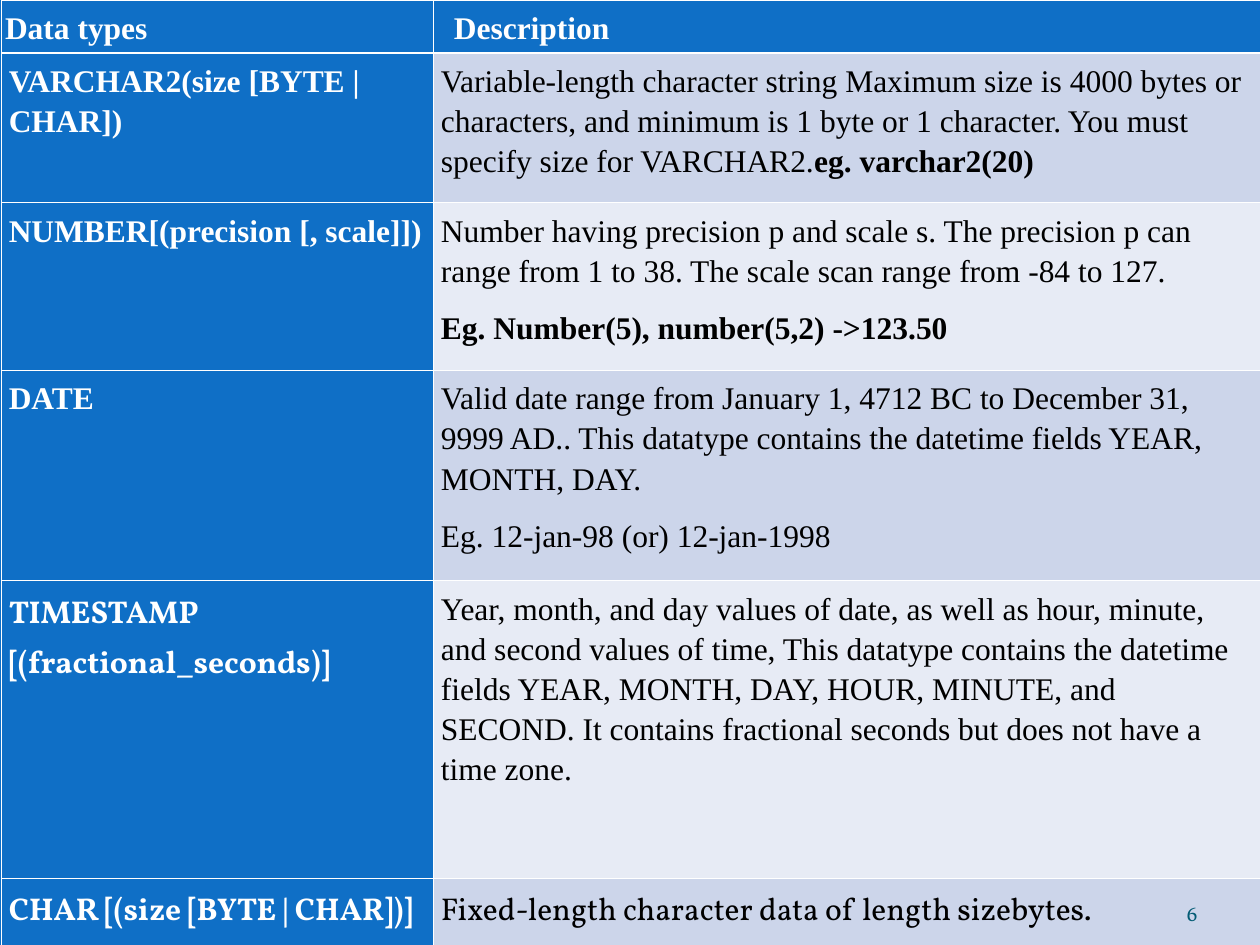
from lxml.etree import SubElement as Sub
from pptx import Presentation
from pptx.dml.color import RGBColor
from pptx.enum.text import MSO_ANCHOR as Anchor, PP_ALIGN as Align
from pptx.oxml.ns import qn
from pptx.util import Inches, Pt

WIDE, HIGH = 10, 7.5
BLUE, WHITE, BLACK = "0F6FC6", "FFFFFF", "000000"
BANDS = ["CCD5EA", "E7EBF5"]
TIMES, VOLL = "Times New Roman", "Vollkorn"
COLS = [3.43, 6.57]
ROWS = [0.4, 1.19, 1.33, 1.67, 2.36, 2.18]
THIN, THICK = 0.45, 1.47

HEAD = ["Data types", " Description"]
TYPES = [
    ("VARCHAR2(size [BYTE | CHAR])", TIMES,
     [[("Variable-length character string Maximum size is 4000 bytes or "
        "characters, and minimum is 1 byte or 1 character. You must "
        "specify size for VARCHAR2.", False),
       ("eg. varchar2(20)", True)]], TIMES),
    ("NUMBER[(precision [, scale]])", TIMES,
     [[("Number having precision p and scale s. The precision p can "
        "range from 1 to 38. The scale scan range from -84 to 127.", False)],
      [("Eg. Number(5), number(5,2) ->123.50", True)]], TIMES),
    ("DATE", TIMES,
     [[("Valid date range from January 1, 4712 BC to December 31, "
        "9999 AD.. This datatype contains the datetime "
        "fields YEAR, MONTH, DAY.", False)],
      [("Eg. 12-jan-98 (or) 12-jan-1998", False)]], TIMES),
    ("TIMESTAMP [(fractional_seconds)]", VOLL,
     [[("Year, month, and day values of date, as well as hour, minute, "
        "and second values of time, This datatype contains the datetime "
        "fields YEAR, MONTH, DAY, HOUR, MINUTE, "
        "and SECOND. It contains fractional seconds but does not have "
        "a time zone.", False)]], TIMES),
    ("CHAR [(size [BYTE | CHAR])]", VOLL,
     [[("Fixed-length character data of length sizebytes.", False)]], VOLL),
]


def tint(hue):
    return RGBColor.from_string(hue)


def style(font, face, size, hue):
    font.name = face
    font.size = Pt(size)
    font.color.rgb = tint(hue)


def edge(cell, top, base):
    props = cell._tc.get_or_add_tcPr()
    for side, width in zip("LRTB", (THIN, THIN, top, base)):
        line = Sub(props, qn("a:ln" + side), w=str(int(Pt(width))))
        fill = Sub(line, qn("a:solidFill"))
        Sub(fill, qn("a:srgbClr"), val=WHITE)


def paint(cell, hue, pad, top=THIN, base=THIN):
    edge(cell, top, base)
    cell.fill.solid()
    cell.fill.fore_color.rgb = tint(hue)
    cell.margin_left = cell.margin_right = Inches(pad)


def write(cell, paras, face, hue, after=10):
    frame = cell.text_frame
    for i, parts in enumerate(paras):
        para = frame.add_paragraph() if i else frame.paragraphs[0]
        para.line_spacing = 1.15
        para.space_after = Pt(after)
        style(para.font, face, 18, hue)
        for text, bold in parts:
            run = para.add_run()
            run.text = text
            run.font.bold = bold


def add_head(table):
    looks = [(0.03, Anchor.BOTTOM, 0), (0.1, Anchor.MIDDLE, 10)]
    for col, (text, (pad, anchor, after)) in enumerate(zip(HEAD, looks)):
        cell = table.cell(0, col)
        paint(cell, BLUE, pad, base=THICK)
        cell.vertical_anchor = anchor
        write(cell, [[(text, True)]], TIMES, WHITE, after)


def add_types(table):
    for row, (name, face, about, font) in enumerate(TYPES, 1):
        top = THICK if row == 1 else THIN
        left, right = table.cell(row, 0), table.cell(row, 1)
        paint(left, BLUE, 0.06, top)
        write(left, [[(name, True)]], face, WHITE)
        paint(right, BANDS[(row - 1) % 2], 0.06, top)
        write(right, about, font, BLACK)


def add_grid(slide):
    frame = slide.shapes.add_table(
        len(ROWS), len(COLS), Inches(0.01), 0,
        Inches(sum(COLS)), Inches(sum(ROWS)))
    table = frame.table
    table.first_row = table.horz_banding = False
    for col, width in zip(table.columns, COLS):
        col.width = Inches(width)
    for row, height in zip(table.rows, ROWS):
        row.height = Inches(height)
    add_head(table)
    add_types(table)


def add_page(slide, text):
    box = slide.shapes.add_textbox(
        Inches(8.67), Inches(6.95), Inches(WIDE / 12), Inches(0.4))
    frame = box.text_frame
    frame.word_wrap = True
    frame.vertical_anchor = Anchor.BOTTOM
    frame.margin_left = frame.margin_right = 0
    frame.margin_top = frame.margin_bottom = 0
    para = frame.paragraphs[0]
    para.text = text
    para.alignment = Align.RIGHT
    style(para.font, VOLL, 12, "045C75")


def main():
    deck = Presentation()
    deck.slide_width, deck.slide_height = Inches(WIDE), Inches(HIGH)
    slide = deck.slides.add_slide(deck.slide_layouts[6])
    back = slide.background.fill
    back.solid()
    back.fore_color.rgb = tint(BLUE)
    add_grid(slide)
    add_page(slide, "6")
    deck.save("out.pptx")


if __name__ == "__main__":
    main()
